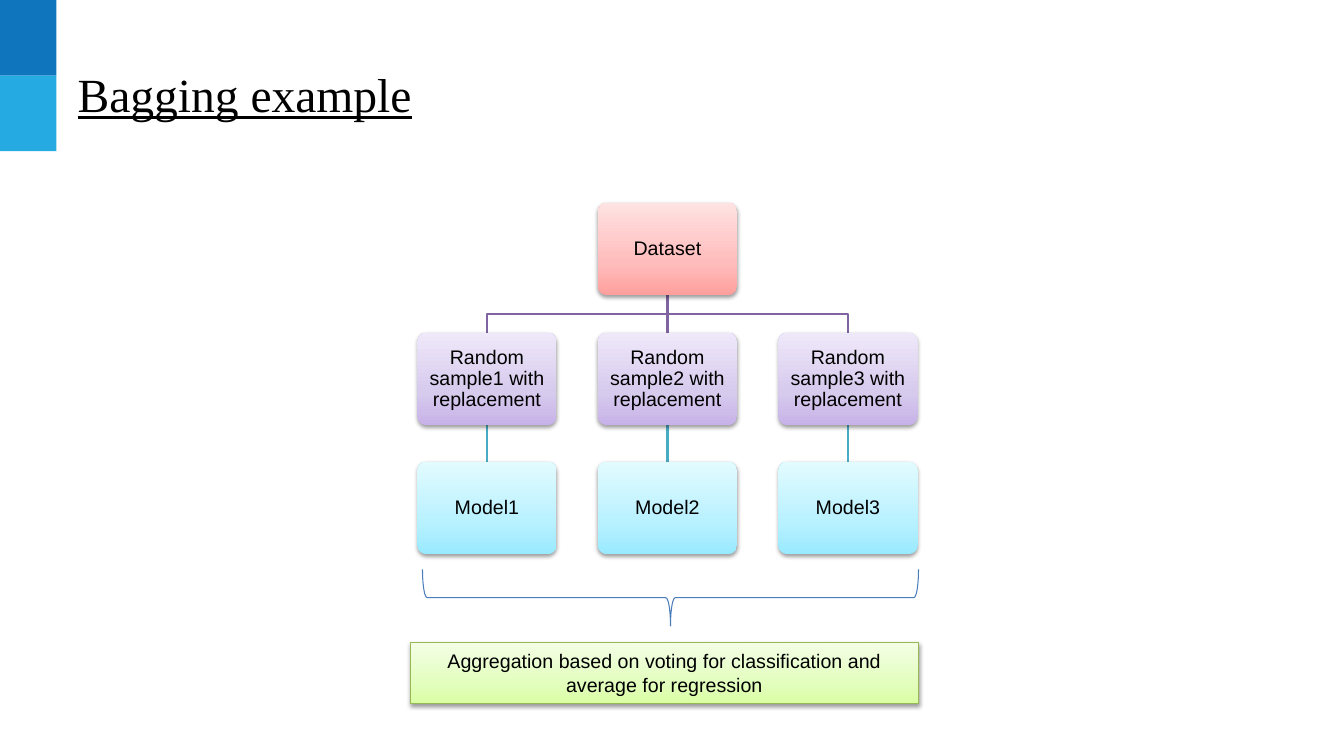
"""Build the bagging example slide."""
from dataclasses import dataclass

from pptx import Presentation
from pptx.dml.color import RGBColor
from pptx.enum.shapes import MSO_CONNECTOR, MSO_SHAPE
from pptx.enum.text import MSO_ANCHOR, MSO_AUTO_SIZE, PP_ALIGN
from pptx.oxml import parse_xml
from pptx.oxml.ns import nsdecls
from pptx.util import Inches, Pt

RECT, ROUND, BRACE = MSO_SHAPE.RECTANGLE, MSO_SHAPE.ROUNDED_RECTANGLE, MSO_SHAPE.RIGHT_BRACE
LINE = MSO_CONNECTOR.STRAIGHT
MIDDLE, LEFT, CENTER = MSO_ANCHOR.MIDDLE, PP_ALIGN.LEFT, PP_ALIGN.CENTER
FIXED = MSO_AUTO_SIZE.NONE

PINK = ("FFA09D", "FFBCBC", "FFE2E2")
LILAC = ("C8B2E9", "D6CAED", "EFE8FA")
AQUA = ("99EAFF", "B8F1FF", "E2FBFF")
LIME = ("DAFEA4", "E3FEBF", "F4FEE6")
PURPLE, TEAL, BLUE, GREEN, BLACK = "8064A2", "49ACC5", "4A7DBA", "97B853", "000000"

WIDE, HIGH = 1.38, 0.92
MID, STEP = 6.62, 1.79
ROWS = (2.01, 3.3, 4.58)
BODY = {"name": "Arial", "size": Pt(14)}
HEAD = {"name": "Times New Roman", "size": Pt(34), "underline": True}


@dataclass
class Node:
    """A box of the tree, placed by column and row."""
    text: str
    col: int
    row: int
    stops: tuple[str, ...]


@dataclass
class Bar:
    """A plain block of the left edge."""
    top: float
    color: str


def rgb(color: str) -> RGBColor:
    """Turn a hex string into a colour."""
    return RGBColor.from_string(color)


def apply(item, values: dict) -> None:
    """Set attributes from a dict of format values."""
    for key, value in values.items():
        setattr(item, key, value)


def write(shape, text: str, font: dict, align, pad: tuple, gap: float = 1.0) -> None:
    """Put formatted text into a shape."""
    frame = shape.text_frame
    side, edge = map(Inches, pad)
    apply(frame, {"text": text, "word_wrap": True, "auto_size": FIXED,
                  "vertical_anchor": MIDDLE, "margin_left": side, "margin_right": side,
                  "margin_top": edge, "margin_bottom": edge})
    para = frame.paragraphs[0]
    apply(para, {"alignment": align, "line_spacing": gap})
    apply(para.runs[0].font, font)
    para.runs[0].font.color.rgb = rgb(BLACK)


def stroke(shape, color: str, width: float) -> None:
    """Give a shape or connector its line."""
    shape.line.color.rgb = rgb(color)
    shape.line.width = Pt(width)


def add(slide, kind, left: float, top: float, width: float, height: float):
    """Add a preset shape without fill, line or shadow."""
    shape = slide.shapes.add_shape(kind, *map(Inches, (left, top, width, height)))
    shape.shadow.inherit = False
    shape.fill.background()
    shape.line.fill.background()
    return shape


def shade(shape, stops: tuple[str, ...]) -> None:
    """Fill a shape with a rising gradient and drop a soft shadow."""
    shape.fill.gradient()
    shape.fill.gradient_angle = 90
    marks = "".join(f'<a:gs pos="{pos}"><a:srgbClr val="{color}"/></a:gs>'
                    for pos, color in zip((0, 35000, 100000), stops))
    old = shape._element.spPr.find(".//{*}gsLst")
    old.getparent().replace(old, parse_xml(f'<a:gsLst {nsdecls("a")}>{marks}</a:gsLst>'))
    shape._element.spPr.find("{*}effectLst").append(parse_xml(
        f'<a:outerShdw {nsdecls("a")} blurRad="{Pt(3.1)}" dist="{Pt(1.6)}" dir="5400000" '
        f'rotWithShape="0"><a:srgbClr val="{BLACK}"><a:alpha val="38000"/></a:srgbClr>'
        '</a:outerShdw>'))


def center(col: int) -> float:
    """Give the middle of a column."""
    return MID + (col - 1) * STEP


def box(slide, node: Node) -> None:
    """Draw a tree box."""
    shape = add(slide, ROUND, center(node.col) - WIDE / 2, ROWS[node.row], WIDE, HIGH)
    shape.adjustments[0] = 0.1
    shade(shape, node.stops)
    write(shape, node.text, BODY, CENTER, (0.06, 0.06), 0.9)


def drop(slide, col: int, row: int, color: str) -> None:
    """Join a box straight to the one below."""
    x = Inches(center(col))
    link = slide.shapes.add_connector(LINE, x, Inches(ROWS[row] + HIGH),
                                      x, Inches(ROWS[row + 1]))
    stroke(link, color, 2)
    link._element.spPr.append(parse_xml(f'<a:effectLst {nsdecls("a")}/>'))


def branch(slide, col: int) -> None:
    """Draw a bent line from the dataset to an outer sample."""
    top, end = ROWS[0] + HIGH, ROWS[1]
    bend, x = (top + end) / 2, center(col)
    pen = slide.shapes.build_freeform(Inches(MID), Inches(top))
    pen.add_line_segments([(Inches(a), Inches(b)) for a, b in
                           ((MID, bend), (x, bend), (x, end))], close=False)
    shape = pen.convert_to_shape()
    shape.shadow.inherit = False
    shape.fill.background()
    stroke(shape, PURPLE, 2)


def main() -> None:
    """Build and save the slide."""
    deck = Presentation()
    apply(deck, {"slide_width": Inches(13.33), "slide_height": Inches(7.5)})
    slide = deck.slides.add_slide(deck.slide_layouts[5])

    for bar in (Bar(0, "0F75BD"), Bar(0.75, "25AAE2")):
        shape = add(slide, RECT, 0, bar.top, 0.56, 0.75)
        shape.fill.solid()
        shape.fill.fore_color.rgb = rgb(bar.color)

    title = slide.shapes.title
    apply(title, {"left": Inches(0.67), "top": Inches(0.3),
                  "width": Inches(12), "height": Inches(1.25)})
    write(title, "Bagging example", HEAD, LEFT, (0.1, 0.05))

    for col in range(3):
        if col == 1:
            drop(slide, col, 0, PURPLE)
        else:
            branch(slide, col)
        drop(slide, col, 1, TEAL)

    nodes = [Node("Dataset", 1, 0, PINK)]
    for col in range(3):
        nodes += [Node(f"Random sample{col + 1} with replacement", col, 1, LILAC),
                  Node(f"Model{col + 1}", col, 2, AQUA)]
    for node in nodes:
        box(slide, node)

    brace = add(slide, BRACE, 6.37, 3.47, 0.56, 4.92)
    brace.rotation = 90
    brace.adjustments[0] = 0.083
    stroke(brace, BLUE, 0.75)

    result = add(slide, RECT, 4.07, 6.37, 5.04, 0.61)
    shade(result, LIME)
    stroke(result, GREEN, 0.75)
    write(result, "Aggregation based on voting for classification and average for regression",
          BODY, CENTER, (0.1, 0.05))

    deck.save("out.pptx")


main()
